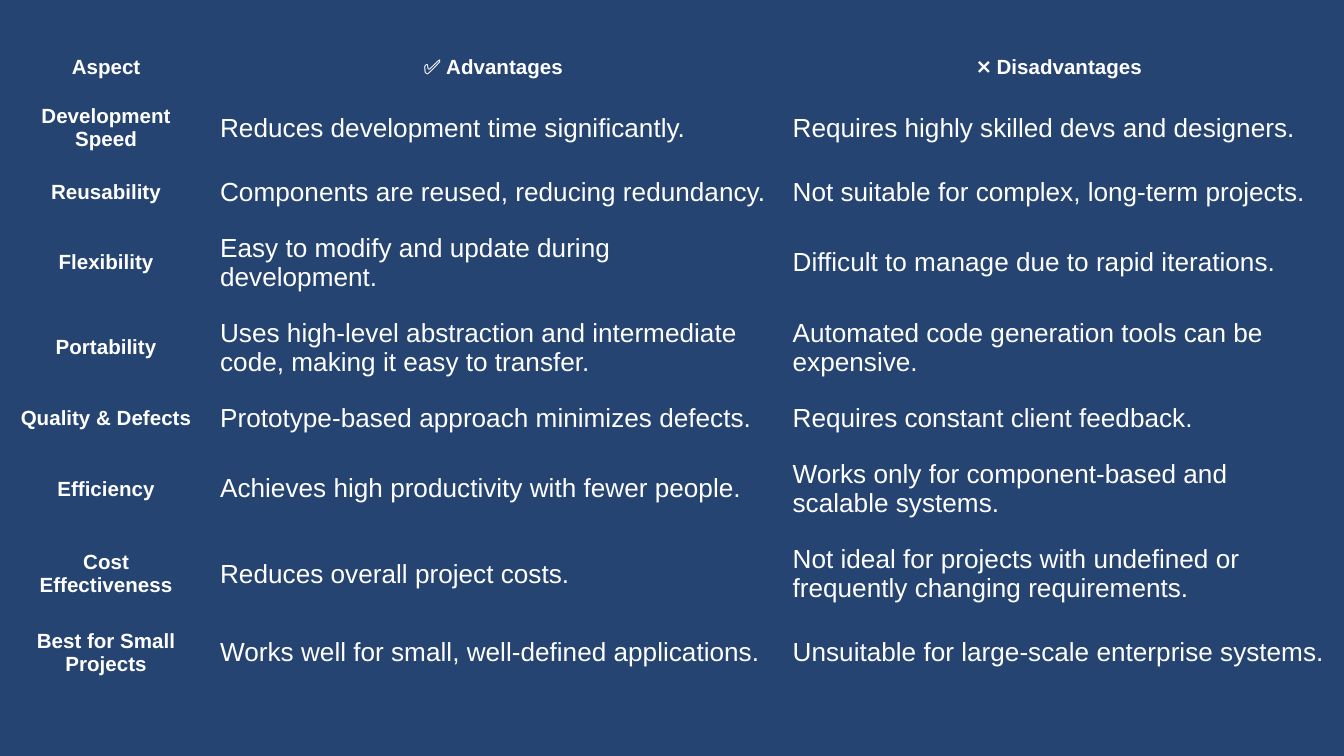
import pptx
import pptx.dml.color
import pptx.enum.text
import pptx.util
from pptx.util import Cm

NO_GRID_STYLE = "{2D5ABB26-0587-4C30-8999-92F81FD0307C}"

HEADINGS = ("Aspect", "✅ Advantages", "❌ Disadvantages")
ASPECTS = (
    ("Development Speed", "Reduces development time significantly.",
     "Requires highly skilled devs and designers."),
    ("Reusability", "Components are reused, reducing redundancy.",
     "Not suitable for complex, long-term projects."),
    ("Flexibility", "Easy to modify and update during development.",
     "Difficult to manage due to rapid iterations."),
    ("Portability", "Uses high-level abstraction and intermediate code, making it easy to transfer.",
     "Automated code generation tools can be expensive."),
    ("Quality & Defects", "Prototype-based approach minimizes defects.",
     "Requires constant client feedback."),
    ("Efficiency", "Achieves high productivity with fewer people.",
     "Works only for component-based and scalable systems."),
    ("Cost\nEffectiveness", "Reduces overall project costs.",
     "Not ideal for projects with undefined or frequently changing requirements."),
    ("Best for Small Projects", "Works well for small, well-defined applications.",
     "Unsuitable for large-scale enterprise systems."),
)
COLUMN_WIDTHS = (3.81, 10.82, 10.59)
ROW_HEIGHTS = (0.64, 0.53, 0.53, 0.53, 1.04, 0.53, 0.53, 1.04, 1.04)


def color(value):
    return pptx.dml.color.RGBColor.from_string(value)


def write(frame, text, *, font, size, ink, bold=False, centered=False, spacing=1.0):
    alignment = pptx.enum.text.PP_ALIGN
    frame.text = text
    for para in frame.paragraphs:
        para.alignment = alignment.CENTER if centered else alignment.LEFT
        para.line_spacing = spacing
        for span in para.runs:
            span.font.name = font
            span.font.size = pptx.util.Pt(size)
            span.font.bold = bold
            span.font.color.rgb = color(ink)


class ComparisonSlide:
    font = "Arial"
    ink = "FFFFFF"
    backdrop = "254471"
    label_size = 11
    body_size = 14
    inset = Cm(0.25)

    def __init__(self, deck):
        self.page = deck.slides.add_slide(deck.slide_layouts[6])
        fill = self.page.background.fill
        fill.solid()
        fill.fore_color.rgb = color(self.backdrop)

    def cell(self, cell, text, label, spacing):
        cell.fill.background()
        cell.vertical_anchor = pptx.enum.text.MSO_ANCHOR.MIDDLE
        cell.margin_left = cell.margin_right = self.inset
        cell.margin_top = cell.margin_bottom = self.inset
        write(cell.text_frame, text, font=self.font, ink=self.ink,
              size=self.label_size if label else self.body_size,
              bold=label, centered=label, spacing=spacing)

    def table(self, rows, left, top, widths, heights):
        frame = self.page.shapes.add_table(
            len(rows), len(widths), left, top, Cm(sum(widths)), Cm(sum(heights)))
        table = frame.table
        table.horz_banding = False
        table._tbl.tblPr.find(pptx.oxml.ns.qn("a:tableStyleId")).text = NO_GRID_STYLE
        for column, width in zip(table.columns, widths):
            column.width = Cm(width)
        for row, height in zip(table.rows, heights):
            row.height = Cm(height)
        for r, texts in enumerate(rows):
            for c, text in enumerate(texts):
                self.cell(table.cell(r, c), text, label=r == 0 or c == 0,
                          spacing=1.15 if r == 0 else 1.0)


def main():
    deck = pptx.Presentation()
    deck.slide_width = Cm(25.4)
    deck.slide_height = Cm(14.29)
    slide = ComparisonSlide(deck)
    slide.table((HEADINGS, *ASPECTS), Cm(0.1), Cm(0.74), COLUMN_WIDTHS, ROW_HEIGHTS)
    deck.save("out.pptx")


if __name__ == "__main__":
    main()
